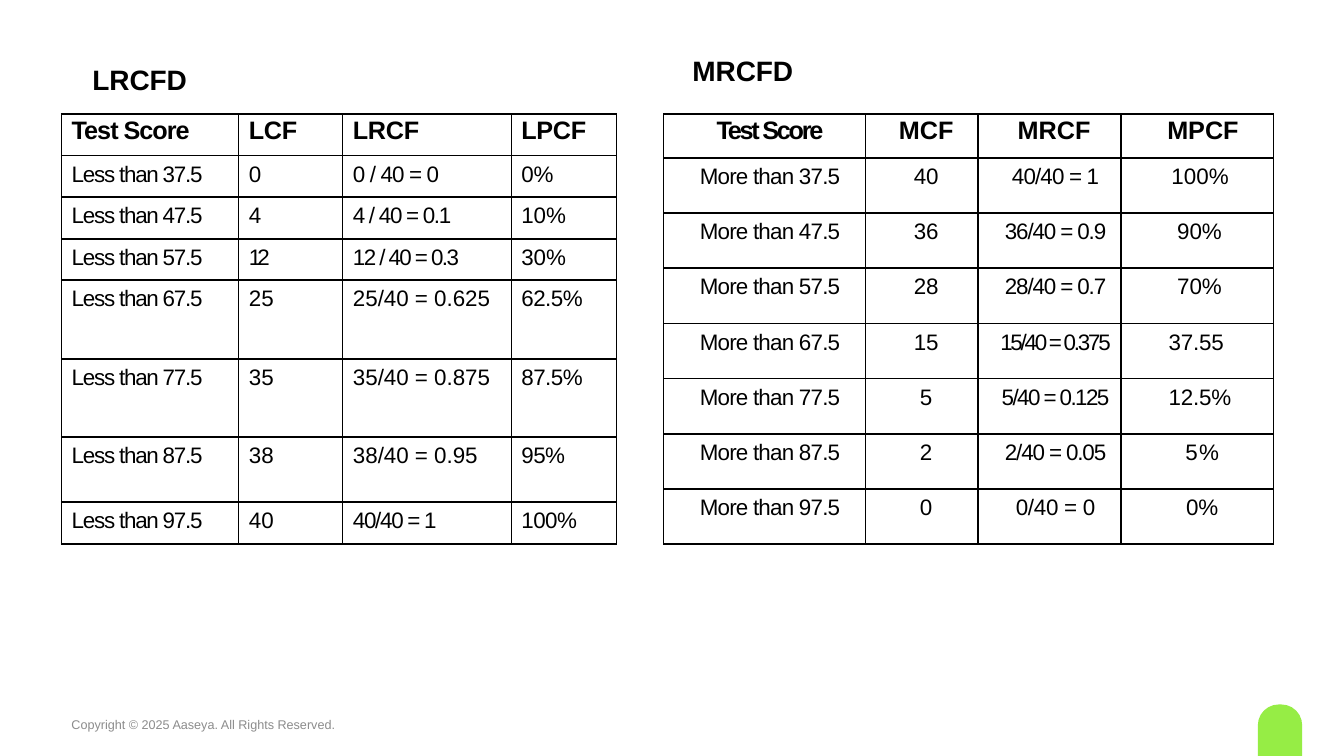
import dataclasses

import pptx
import pptx.dml.color
import pptx.enum.shapes
import pptx.enum.text
import pptx.oxml
import pptx.oxml.ns
import pptx.util

Pt = pptx.util.Pt
ALIGN = pptx.enum.text.PP_ALIGN
ANCHOR = pptx.enum.text.MSO_ANCHOR


@dataclasses.dataclass(frozen=True)
class Theme:
    """Colours, type sizes and line widths."""
    font: str = "Arial"
    ink: str = "000000"
    grey: str = "8C8C8C"
    green: str = "96ED45"
    title: int = 20
    head: int = 18
    body: int = 16
    small: int = 9
    lead: float = 22.4
    side: float = 1
    rule: float = 1.5


THEME = Theme()

LESS = [
    [("Test Score", -0.7), ("LCF", -0.2), ("LRCF", -0.2), ("LPCF", -0.2)],
    [("Less than 37.5", -0.85), ("0", -0.5), ("0 / 40 = 0", -0.6), ("0%", 0)],
    [("Less than 47.5", -0.85), ("4", -0.5), ("4 / 40 = 0.1", -0.9), ("10%", 0)],
    [("Less than 57.5", -0.85), ("12", -2.9), ("12 / 40 = 0.3", -1.1), ("30%", 0)],
    [("Less than 67.5", -0.85), ("25", 0), ("25/40 = 0.625", 0), ("62.5%", -0.3)],
    [("Less than 77.5", -0.85), ("35", 0), ("35/40 = 0.875", 0), ("87.5%", -0.3)],
    [("Less than 87.5", -0.85), ("38", 0), ("38/40 = 0.95", 0), ("95%", -0.3)],
    [("Less than 97.5", -0.85), ("40", 0), ("40/40 = 1", -0.9), ("100%", -0.3)],
]

MORE = [
    [("Test Score", -1.6), ("MCF", 0), ("MRCF", 0), ("MPCF", 0)],
    [("More than 37.5", -0.55), ("40", -0.2), ("40/40 = 1", -0.6), ("100%", 0)],
    [("More than 47.5", -0.55), ("36", -0.2), ("36/40 = 0.9", -0.8), ("90%", 0)],
    [("More than 57.5", -0.55), ("28", -0.2), ("28/40 = 0.7", -0.8), ("70%", 0)],
    [("More than 67.5", -0.55), ("15", -0.2), ("15/40 = 0.375", -1.6), ("37.55", -0.1)],
    [("More than 77.5", -0.55), ("5", -0.5), ("5/40 = 0.125", -1.1), ("12.5%", -0.1)],
    [("More than 87.5", -0.55), ("2", -0.5), ("2/40 = 0.05", -0.8), ("5%", 1)],
    [("More than 97.5", -0.55), ("0", -0.5), ("0/40 = 0", -0.2), ("0%", 0)],
]
SHARES = [33, 36, 40, 40, 34, 34]


def shade(text):
    """Return the colour for a hex string."""
    return pptx.dml.color.RGBColor.from_string(text)


def style(para, size, color, bold=False, space=0):
    """Format the runs of a paragraph."""
    for run in para.runs:
        run.font.name = THEME.font
        run.font.size = Pt(size)
        run.font.bold = bold
        run.font.color.rgb = shade(color)
        run._r.get_or_add_rPr().set("spc", str(round(space * 100)))


def label(slide, box, text, size, color, bold=False, space=0):
    """Place one line of text in a box and return its frame."""
    frame = slide.shapes.add_textbox(*map(Pt, box)).text_frame
    frame.word_wrap = True
    frame.text = text
    style(frame.paragraphs[0], size, color, bold, space)
    return frame


def border(cell):
    """Draw the four edges of a cell."""
    props = cell._tc.get_or_add_tcPr()
    space = pptx.oxml.ns.nsdecls("a")
    for edge, width in zip("LRTB", [THEME.side] * 2 + [THEME.rule] * 2):
        props.append(pptx.oxml.parse_xml(
            f'<a:ln{edge} {space} w="{Pt(width)}"><a:solidFill>'
            f'<a:srgbClr val="{THEME.ink}"/></a:solidFill></a:ln{edge}>'))


def fill(cell, text, space, align, indent, head):
    """Write and format one cell."""
    border(cell)
    cell.fill.background()
    cell.margin_left = cell.margin_right = 0
    cell.margin_top = cell.margin_bottom = 0
    cell.text_frame.text = text
    para = cell.text_frame.paragraphs[0]
    para.alignment = align
    para.line_spacing = Pt(THEME.lead)
    para._p.get_or_add_pPr().set("marL", str(Pt(indent)))
    style(para, THEME.head if head else THEME.body, THEME.ink, head, space)


def left(row, col):
    """Give alignment and indent in the less-than table."""
    return ALIGN.LEFT, 7.2


def right(row, col):
    """Give alignment and indent in the more-than table."""
    if col == 3 and row < len(SHARES):
        return ALIGN.LEFT, SHARES[row]
    return ALIGN.CENTER, (8, 6.5, 8.6 if row else 6.5, 7.2)[col]


def grid(slide, box, data, widths, heights, place):
    """Build a table in a box."""
    table = slide.shapes.add_table(len(data), len(widths), *map(Pt, box)).table
    table.horz_banding = False
    for col, width in zip(table.columns, widths):
        col.width = Pt(width)
    for row, height in zip(table.rows, heights):
        row.height = Pt(height)
    for r, line in enumerate(data):
        for c, (text, space) in enumerate(line):
            fill(table.cell(r, c), text, space, *place(r, c), r == 0)


def panel(slide, box, name, offset, data, widths, heights, place):
    """Place a caption and the table beneath it."""
    x, y, w, h = box
    dx, dy = offset
    label(slide, (x + dx, y - dy, 244, 31.5), name, THEME.title, THEME.ink, True, -0.1)
    grid(slide, box, data, widths, heights, place)


def footer(slide, box):
    """Place the copyright line and the green tab."""
    x, y, w, h = box
    frame = label(slide, (x, y, 324, 28.8),
                  "Copyright © 2025 Aaseya. All Rights Reserved.",
                  THEME.small, THEME.grey)
    frame.vertical_anchor = ANCHOR.MIDDLE
    kind = pptx.enum.shapes.MSO_SHAPE.ROUND_2_SAME_RECTANGLE
    tab = slide.shapes.add_shape(kind, Pt(x + w - 31.7), Pt(y), Pt(31.7), Pt(h))
    tab.adjustments[0] = 0.47
    tab.shadow.inherit = False
    tab.fill.solid()
    tab.fill.fore_color.rgb = shade(THEME.green)
    tab.line.fill.background()


def main():
    """Build and save the slide."""
    deck = pptx.Presentation()
    deck.slide_width, deck.slide_height = Pt(960), Pt(540)
    slide = deck.slides.add_slide(deck.slide_layouts[6])
    footer(slide, (44, 503.2, 886.2, 36.8))
    panel(slide, (44, 81.4, 396.3, 307.2), "LRCFD", (15, 40.4), LESS,
          [126.6, 74.3, 120.3, 75.1],
          [29.7] * 4 + [56.1] * 2 + [46.2, 30], left)
    panel(slide, (474, 81.4, 435.5, 307.3), "MRCFD", (13.6, 46.8), MORE,
          [144, 80.6, 102.2, 108.7], [31.5] + [39.4] * 7, right)
    deck.save("out.pptx")


if __name__ == "__main__":
    main()
